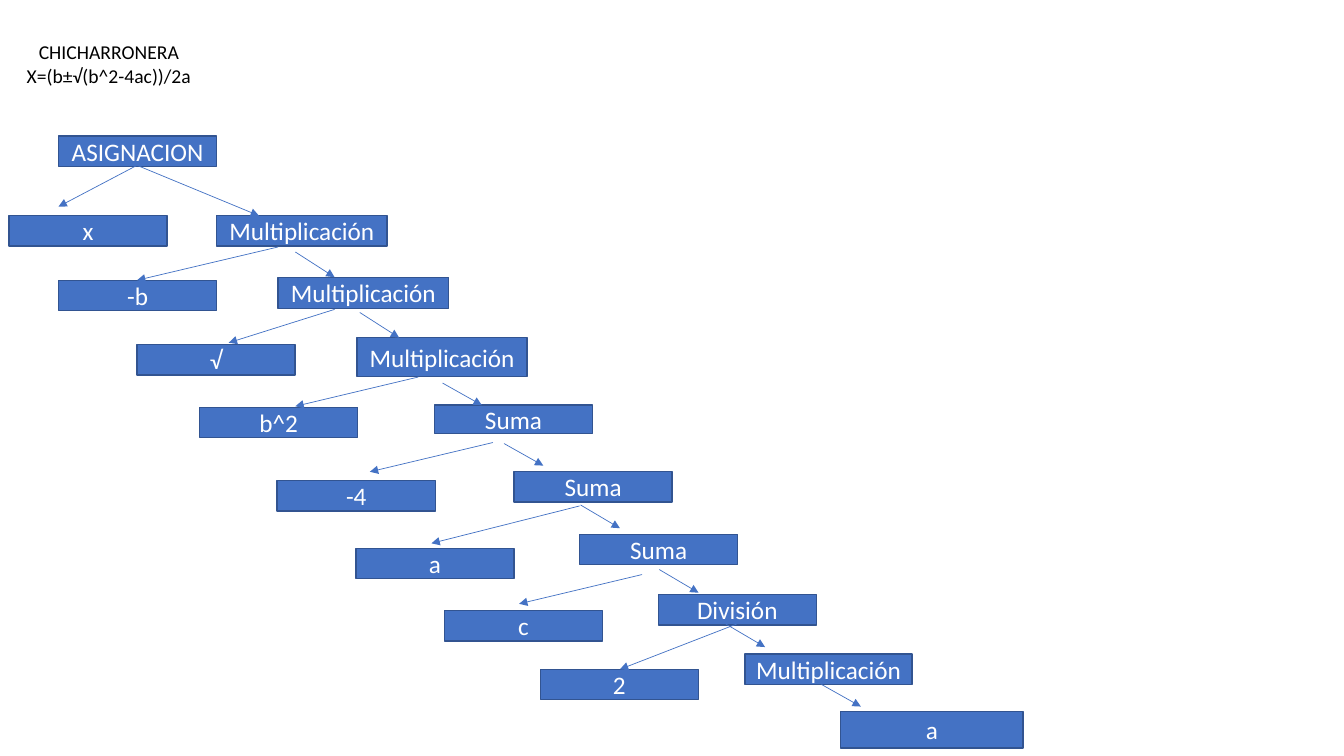
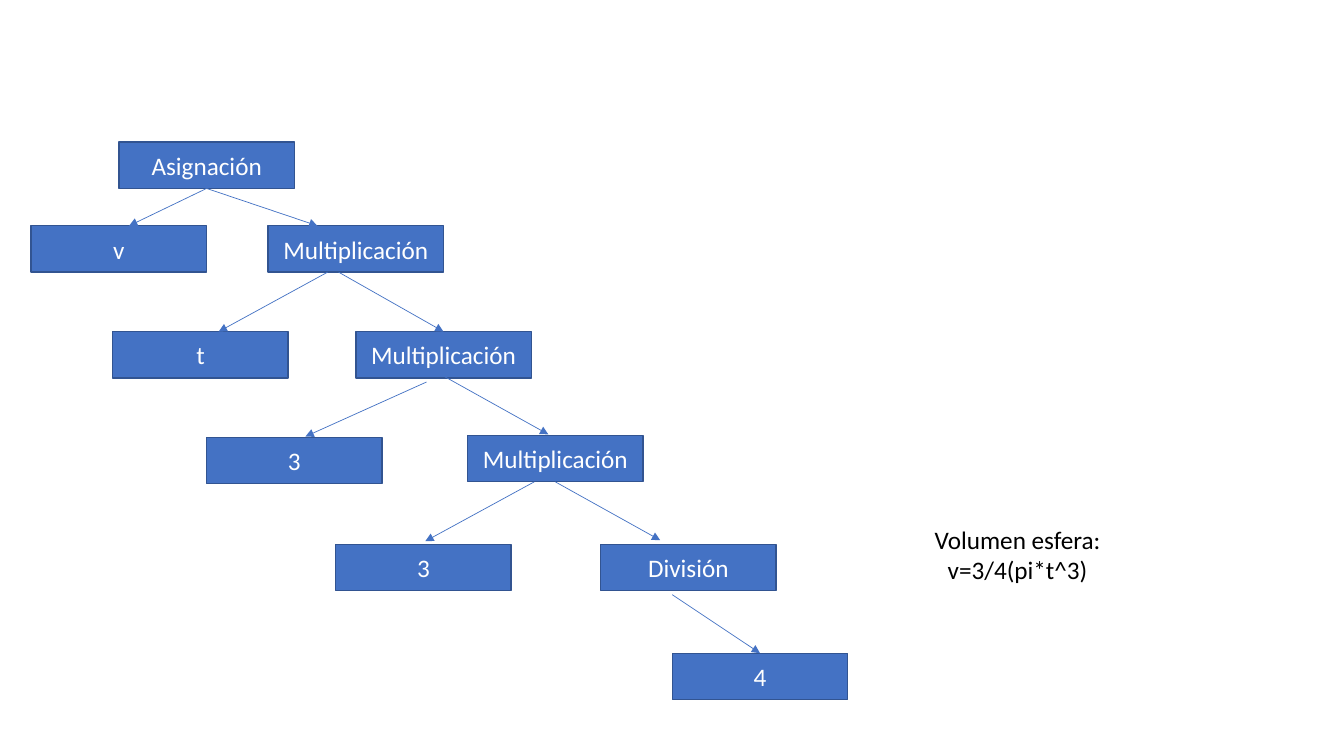
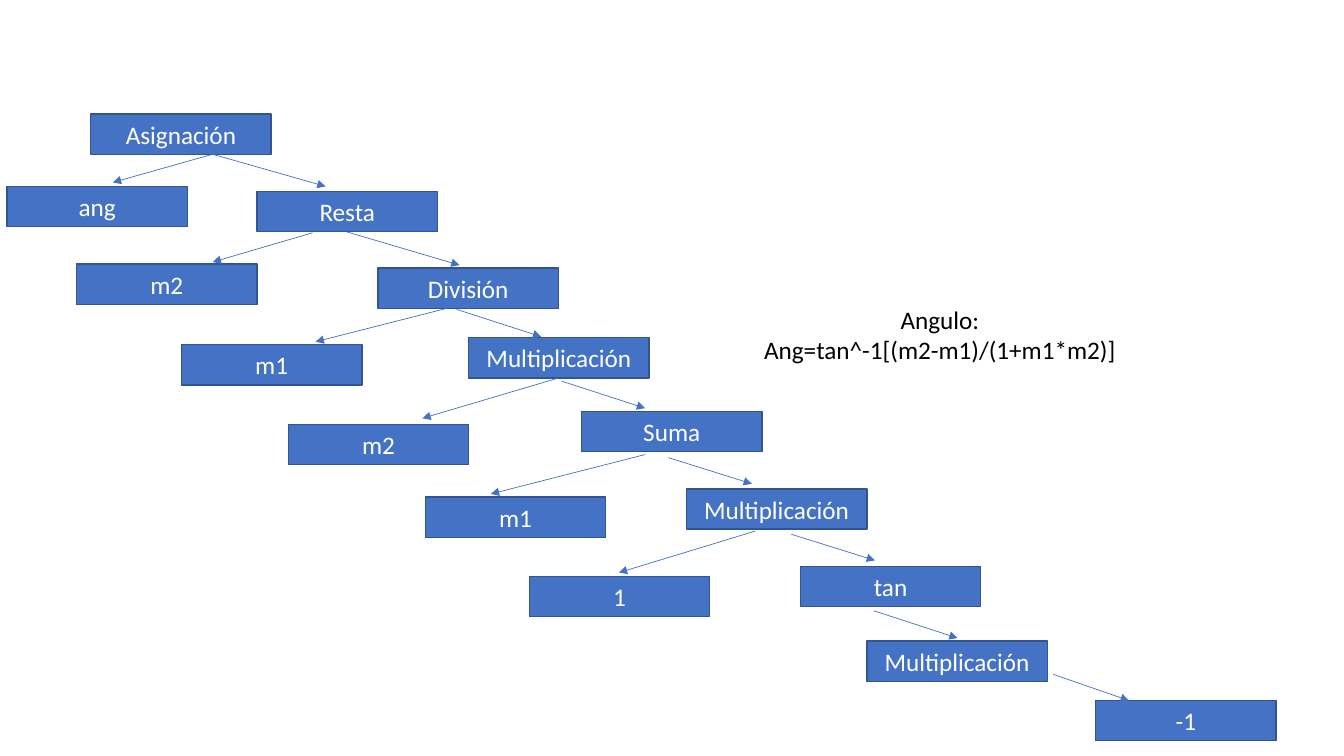
from collections import namedtuple
from dataclasses import dataclass

from lxml import etree
from pptx import Presentation
from pptx.dml.color import RGBColor
from pptx.enum.shapes import MSO_CONNECTOR, MSO_SHAPE
from pptx.enum.text import MSO_ANCHOR, PP_ALIGN
from pptx.oxml.ns import qn
from pptx.util import Pt

RECTANGLE = MSO_SHAPE.RECTANGLE
STRAIGHT = MSO_CONNECTOR.STRAIGHT
TOP, MIDDLE, BOTTOM = MSO_ANCHOR.TOP, MSO_ANCHOR.MIDDLE, MSO_ANCHOR.BOTTOM
CENTER = PP_ALIGN.CENTER


@dataclass(frozen=True)
class Theme:
    """Colours, type sizes and line widths shared by the slides."""
    node_fill: RGBColor = RGBColor(0x44, 0x72, 0xC4)
    node_edge: RGBColor = RGBColor(0x32, 0x54, 0x91)
    node_text: RGBColor = RGBColor(0xFF, 0xFF, 0xFF)
    formula_text: RGBColor = RGBColor(0, 0, 0)
    font: str = "Calibri"
    body: float = 18
    small: float = 14
    edge_width: float = 1
    arrow_width: float = 0.5


THEME = Theme()
Box = namedtuple("Box", "left top width height")
# Left and top are measured from the tree area; arrow is (x1, y1, x2, y2).
# A node without its own size takes the usual size of its tree.
Node = namedtuple("Node", "label left top arrow size", defaults=(None, None))
Formula = namedtuple("Formula", "lines box size anchor inset", defaults=(3.6,))

SLIDE = Box(0, 0, 960, 540)
TREE_AREA = Box(0, 72, 960, 468)
WIDE = (121.7, 21.6)

QUADRATIC = [
    Node("ASIGNACION", 41.8, 25.2),
    Node("x", 6.5, 82.1, (97.9, 46.1, 41.8, 75.6)),
    Node("Multiplicación", 154.8, 82.1, (97.9, 46.1, 185, 82.1), WIDE),
    Node("-b", 41.8, 128.2, (198.7, 104.4, 97.9, 128.2)),
    Node("Multiplicación", 198.7, 126, (211, 108, 239, 126), (121.7, 22.3)),
    Node("√", 97.9, 174.2, (239, 149, 163.4, 172.8)),
    Node("Multiplicación", 254.9, 169.2, (257, 151.2, 285.1, 169.2), (121.7, 27.6)),
    Node("b^2", 142.6, 218.9, (298.8, 197.3, 211, 218.2)),
    Node("Suma", 310.3, 217.4, (316.1, 201.6, 344.2, 217.4), (113, 20.2)),
    Node("-4", 198, 271.4, (352.1, 244.1, 264.2, 265)),
    Node("Suma", 367.2, 265, (360, 244.8, 388.1, 260.6)),
    Node("a", 254.2, 319.7, (414, 289.4, 308.2, 316.1)),
    Node("Suma", 414, 309.6, (414.7, 288.7, 442.8, 305.3)),
    Node("c", 317.5, 364.3, (458.6, 338.4, 370.8, 359.3)),
    Node("División", 470.2, 352.8, (470.9, 334.8, 499, 351.4)),
    Node("2", 385.9, 406.1, (526.3, 373.7, 442.8, 406.1)),
    Node("Multiplicación", 532.1, 395.3, (518.4, 373.7, 546.5, 390.2), (119.5, 21.6)),
    Node("a", 600.5, 436.3, (586.8, 416.9, 614.9, 432.7), (130.3, 25.9)),
]

SPHERE = [
    Node("Asignación", 85, 29.5),
    Node("v", 22.3, 89.3, (147.6, 62.6, 92.2, 89.3)),
    Node("Multiplicación", 191.5, 89.3, (147.6, 62.6, 226.8, 89.3)),
    Node("t", 80.6, 164.9, (234, 122.4, 156.2, 164.9)),
    Node("Multiplicación", 254.2, 164.9, (241.9, 122.4, 316.8, 164.9)),
    Node("3", 147.6, 240.5, (304.6, 200.9, 218.2, 239.8)),
    Node("Multiplicación", 334.1, 239, (316.8, 196.6, 391.7, 238.3)),
    Node("3", 239.8, 316.8, (381.6, 272.2, 303.8, 314.6)),
    Node("División", 429.1, 316.8, (396.7, 272.2, 471.6, 313.9)),
    Node("4", 480.2, 394.6, (480.2, 352.8, 542.9, 394.6)),
]

ANGLE = [
    Node("Asignación", 64.8, 9.4),
    Node("ang", 5, 61.2, (151.9, 38.2, 80.6, 58.3)),
    Node("Resta", 183.6, 64.8, (151.9, 38.2, 232.6, 61.2)),
    Node("m2", 54.7, 116.6, (223.2, 94.3, 151.9, 115.2)),
    Node("División", 270, 119.5, (247.7, 93.6, 328.3, 117.4)),
    Node("m1", 129.6, 174.2, (319, 148.3, 225.4, 172.1)),
    Node("Multiplicación", 334.8, 169.2, (326.2, 149, 386.6, 168.5)),
    Node("m2", 205.9, 231.1, (398.9, 198, 301.7, 226.8)),
    Node("Suma", 415.4, 221.8, (401, 200.2, 460.8, 219.6)),
    Node("m1", 303.8, 283, (460.8, 252.7, 350.6, 280.8)),
    Node("Multiplicación", 490.3, 277.2, (477.4, 254.9, 537.1, 273.6)),
    Node("1", 378, 339.8, (539.3, 307.4, 442.1, 337)),
    Node("tan", 571.7, 332.6, (565.2, 309.6, 625, 328.3)),
    Node("Multiplicación", 619.2, 385.9, (624.2, 364.3, 684, 383.8)),
    Node("-1", 782.6, 428.4, (752.4, 409.7, 806.4, 428.4)),
]

SLIDES = [
    (QUADRATIC, (113, 21.6),
     Formula(["CHICHARRONERA", "X=(b±√(b^2-4ac))/2a"],
             Box(-8.6, 20.2, 172.8, 50.4), THEME.small, MIDDLE)),
    (SPHERE, (125.3, 33.1),
     Formula(["Volumen esfera:", "v=3/4(pi*t^3)"],
             Box(657.4, 384.5, 139, 41.8), THEME.body, BOTTOM, 8.6)),
    (ANGLE, (128.9, 28.8),
     Formula(["Angulo:", "Ang=tan^-1[(m2-m1)/(1+m1*m2)]"],
             Box(431.3, 213.8, 480.2, 51.1), THEME.body, TOP)),
]


def write_lines(frame, lines, size, color, frame_format):
    """Fill a text frame with centred paragraphs."""
    for name, value in frame_format.items():
        setattr(frame, name, value)
    font_format = {"name": THEME.font, "size": Pt(size)}
    for index, line in enumerate(lines):
        paragraph = frame.add_paragraph() if index else frame.paragraphs[0]
        paragraph.alignment = CENTER
        run = paragraph.add_run()
        run.text = line
        for name, value in font_format.items():
            setattr(run.font, name, value)
        run.font.color.rgb = color


def draw_node(slide, label, box):
    """Draw one labelled tree node filling the box."""
    node = slide.shapes.add_shape(RECTANGLE, *map(Pt, box))
    node.shadow.inherit = False
    node.fill.solid()
    node.fill.fore_color.rgb = THEME.node_fill
    node.line.color.rgb = THEME.node_edge
    node.line.width = Pt(THEME.edge_width)
    write_lines(node.text_frame, [label], THEME.body, THEME.node_text,
                {"word_wrap": True, "vertical_anchor": MIDDLE})


def draw_arrow(slide, ends):
    """Draw a thin arrow whose head is at the second end."""
    arrow = slide.shapes.add_connector(STRAIGHT, *map(Pt, ends))
    arrow.line.color.rgb = THEME.node_fill
    arrow.line.width = Pt(THEME.arrow_width)
    outline = arrow.line._get_or_add_ln()
    etree.SubElement(outline, qn("a:tailEnd"), type="triangle")
    etree.SubElement(outline.getparent(), qn("a:effectLst"))


def draw_tree(slide, area, nodes, usual_size):
    """Draw the nodes of an expression tree, then their arrows, in the area."""
    for node in nodes:
        size = node.size or usual_size
        draw_node(slide, node.label,
                  Box(area.left + node.left, area.top + node.top, *size))
    for node in nodes:
        if node.arrow:
            x1, y1, x2, y2 = node.arrow
            draw_arrow(slide, (area.left + x1, area.top + y1,
                               area.left + x2, area.top + y2))


def draw_formula(slide, formula):
    """Write the name of the formula and the formula in its box."""
    caption = slide.shapes.add_textbox(*map(Pt, formula.box))
    write_lines(caption.text_frame, formula.lines, formula.size,
                THEME.formula_text,
                {"word_wrap": True, "vertical_anchor": formula.anchor,
                 "margin_bottom": Pt(formula.inset)})


def main():
    """Build one slide per formula and save the deck."""
    deck = Presentation()
    deck.slide_width, deck.slide_height = Pt(SLIDE.width), Pt(SLIDE.height)
    blank = deck.slide_layouts[6]
    for nodes, usual_size, formula in SLIDES:
        slide = deck.slides.add_slide(blank)
        draw_formula(slide, formula)
        draw_tree(slide, TREE_AREA, nodes, usual_size)
    deck.save("out.pptx")


main()
